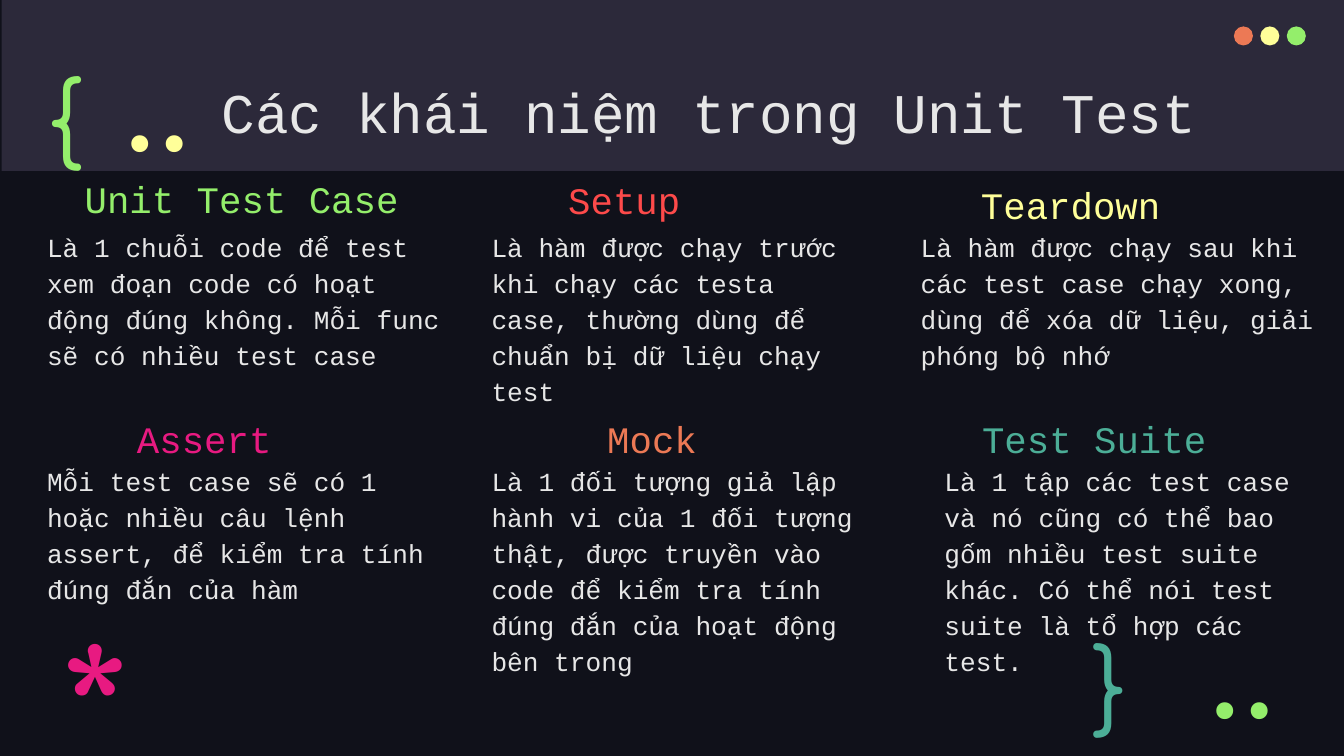
from pptx import Presentation
from pptx.dml.color import RGBColor
from pptx.enum.shapes import MSO_SHAPE
from pptx.enum.text import MSO_ANCHOR, MSO_AUTO_SIZE, PP_ALIGN
from pptx.util import Cm, Pt

COLORS = {
    "night": "10111A", "band": "2C293A", "text": "E7E7E7",
    "green": "94EE6B", "red": "FD4A4A", "yellow": "FFFF99",
    "pink": "E81A81", "orange": "EC7955", "teal": "4CAE97",
}


class SlideBuilder:
    """Holds the deck's style and the slide being filled."""

    code_font = "Courier New"
    inset = Cm(0.25)

    def __init__(self, slide):
        self.slide = slide
        background = slide.background.fill
        background.solid()
        background.fore_color.rgb = self.color("night")

    def color(self, name):
        return RGBColor.from_string(COLORS[name])

    def place(self, element, box):
        element.left, element.top, element.width, element.height = map(Cm, box)

    def set_text(self, element, text, size, color, font=code_font,
                 align=PP_ALIGN.LEFT, anchor=MSO_ANCHOR.TOP, spacing=1.0):
        frame = element.text_frame
        frame.text = text
        frame.word_wrap = True
        frame.auto_size = MSO_AUTO_SIZE.NONE
        frame.vertical_anchor = anchor
        frame.margin_left = frame.margin_right = self.inset
        frame.margin_top = frame.margin_bottom = self.inset
        paragraph = frame.paragraphs[0]
        paragraph.alignment = align
        paragraph.line_spacing = spacing
        style = paragraph.runs[0].font
        style.name, style.size = font, Pt(size)
        style.color.rgb = self.color(color)

    def title(self, text, box):
        heading = self.slide.shapes.title
        self.place(heading, box)
        self.set_text(heading, text, 30, "text", align=PP_ALIGN.CENTER)

    def text(self, text, box, size, color, **style):
        self.set_text(self.slide.shapes.add_textbox(*map(Cm, box)),
                      text, size, color, **style)

    def shape(self, kind, box, color):
        shape = self.slide.shapes.add_shape(kind, *map(Cm, box))
        shape.shadow.inherit = False
        shape.fill.solid()
        shape.fill.fore_color.rgb = self.color(color)
        shape.line.fill.background()
        return shape

    def band(self, box):
        band = self.shape(MSO_SHAPE.RECTANGLE, box, "band")
        # Keep the band behind the title
        self.slide.shapes.title.element.addprevious(band.element)

    def concept(self, name, color, name_box, meaning, meaning_box,
                align=PP_ALIGN.LEFT):
        self.text(meaning, meaning_box, 14, "text", spacing=1.15)
        self.text(name, name_box, 20, color, align=align,
                  anchor=MSO_ANCHOR.BOTTOM, spacing=1.15)


def main():
    deck = Presentation()
    deck.slide_width, deck.slide_height = Cm(25.4), Cm(14.29)
    builder = SlideBuilder(deck.slides.add_slide(deck.slide_layouts[5]))

    # Header
    builder.band((0.03, 0, 25.4, 3.23))
    builder.title("Các khái niệm trong Unit Test", (3.81, 1.22, 19.18, 1.6))

    # Six concepts: name, colour, name box, meaning, meaning box
    upper, lower, lower_name = 4.04, 8.46, 7.59
    left, middle = 0.64, 9.04
    concepts = [
        ("Unit Test Case", "green", (1.35, 3.43, 7.24, 0.99),
         "Là 1 chuỗi code để test xem đoạn code có hoạt động đúng không. "
         "Mỗi func sẽ có nhiều test case", (left, upper, 8.1, 3.56)),
        ("Setup", "red", (10.49, 3.07, 3.18, 1.37),
         "Là hàm được chạy trước khi chạy các testa case, thường dùng để "
         "chuẩn bị dữ liệu chạy test", (middle, upper, 7.62, 3.56)),
        ("Teardown", "yellow", (18.29, 3.18, 4.01, 1.37),
         "Là hàm được chạy sau khi các test case chạy xong, dùng để xóa "
         "dữ liệu, giải phóng bộ nhớ", (17.15, upper, 8.1, 2.44)),
        ("Assert", "pink", (2.34, lower_name, 5.49, 1.37),
         "Mỗi test case sẽ có 1 hoặc nhiều câu lệnh assert, để kiểm tra "
         "tính đúng đắn của hàm", (left, lower, 7.82, 2.44)),
        ("Mock", "orange", (9.58, lower_name, 5.49, 1.37),
         "Là 1 đối tượng giả lập hành vi của 1 đối tượng thật, được truyền "
         "vào code để kiểm tra tính đúng đắn của hoạt động bên trong",
         (middle, lower, 7.82, 3.1), PP_ALIGN.CENTER),
        ("Test Suite", "teal", (18.31, lower_name, 5.49, 1.37),
         "Là 1 tập các test case và nó cũng có thể bao gốm nhiều test suite "
         "khác. Có thể nói test suite là tổ hợp các test.",
         (17.6, lower, 7.8, 3.12)),
    ]
    for concept in concepts:
        builder.concept(*concept)

    # Code symbols
    for symbol, box, size, color in [
        ("{", (0.64, 0.81, 1.96, 2.41), 50, "green"),
        ("}", (20.4, 11.53, 1.45, 2.11), 50, "teal"),
        ("*", (0.89, 11.2, 1.45, 2.21), 96, "pink"),
    ]:
        builder.text(symbol, box, size, color, font="Comfortaa")
    for x, y, color in [(22.1, 12.12, "green"), (1.6, 1.4, "yellow")]:
        builder.text("..", (x, y, 2.72, 1.52), 50, color, font="Fira Code",
                     align=PP_ALIGN.RIGHT, anchor=MSO_ANCHOR.MIDDLE)

    # Window buttons
    for index, color in enumerate(["orange", "yellow", "green"]):
        builder.shape(MSO_SHAPE.OVAL, (23.32 + 0.5 * index, 0.5, 0.36, 0.36),
                      color)

    deck.save("out.pptx")


if __name__ == "__main__":
    main()
